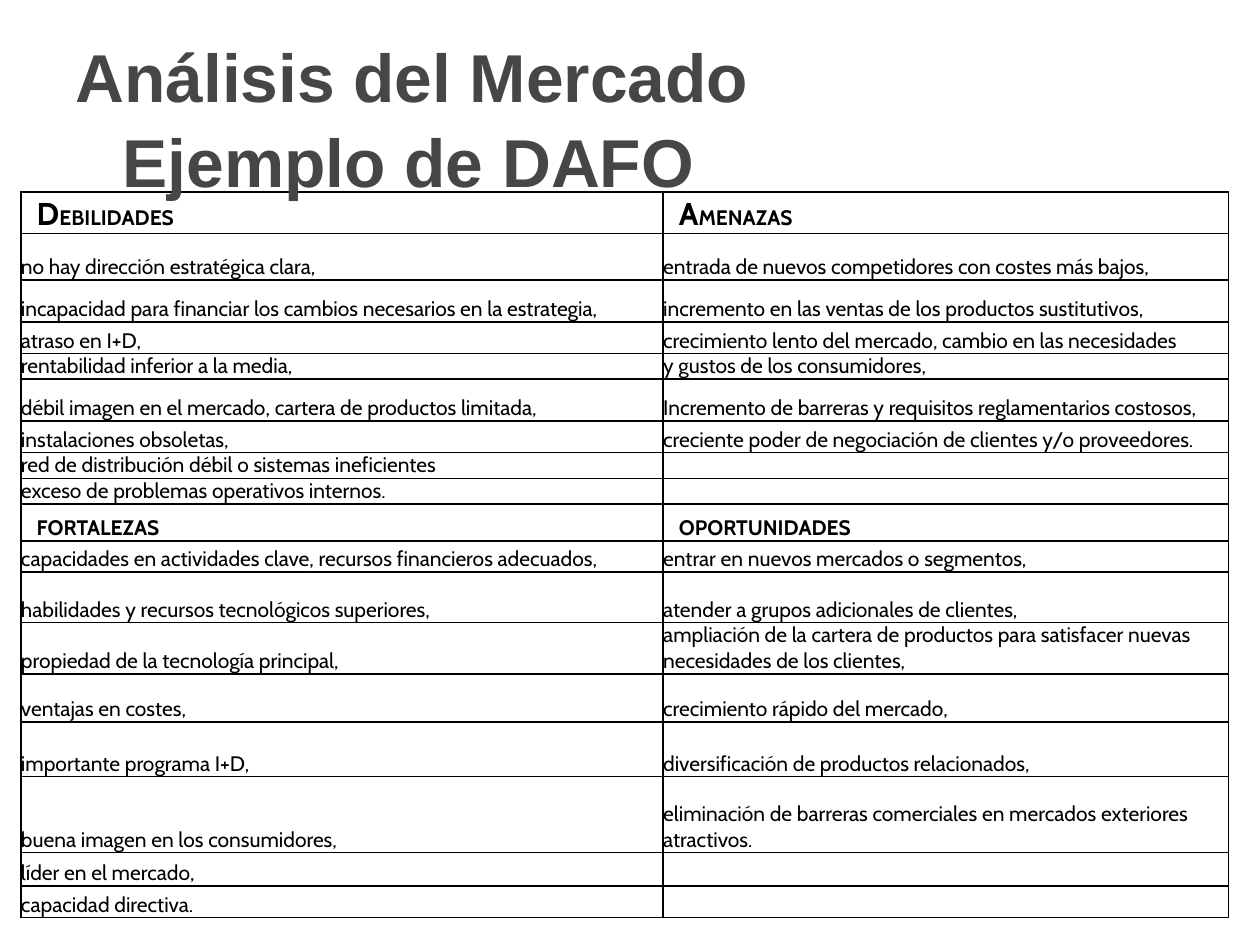
"""Build a market analysis slide with a SWOT table."""
from typing import NamedTuple

from lxml.etree import SubElement
from pptx import Presentation
from pptx.dml.color import RGBColor
from pptx.enum.text import MSO_ANCHOR, MSO_AUTO_SIZE, PP_ALIGN
from pptx.oxml.ns import qn
from pptx.util import Pt

BLACK = RGBColor(0x00, 0x00, 0x00)
WHITE = RGBColor(0xFF, 0xFF, 0xFF)
GREY = RGBColor(0x46, 0x46, 0x46)
COLUMN_WIDTHS = (367, 323.2)


class Row(NamedTuple):
    height: float
    left: str
    right: str = ""
    heading: bool = False
    initial_size: float = 12


ROWS = (
    Row(24, "DEBILIDADES", "AMENAZAS", heading=True, initial_size=18),
    Row(26.4, "no hay dirección estratégica clara,",
        "entrada de nuevos competidores con costes más bajos,"),
    Row(24, "incapacidad para financiar los cambios necesarios en la estrategia,",
        "incremento en las ventas de los productos sustitutivos,"),
    Row(18, "atraso en I+D,", "crecimiento lento del mercado, cambio en las necesidades"),
    Row(14.6, "rentabilidad inferior a la media,", "y gustos de los consumidores,"),
    Row(24, "débil imagen en el mercado, cartera de productos limitada,",
        "Incremento de barreras y requisitos reglamentarios costosos,"),
    Row(18, "instalaciones obsoletas,",
        "creciente poder de negociación de clientes y/o proveedores."),
    Row(14.6, "red de distribución débil o sistemas ineficientes"),
    Row(14.6, "exceso de problemas operativos internos."),
    Row(21.2, "FORTALEZAS", "OPORTUNIDADES", heading=True),
    Row(17.6, "capacidades en actividades clave, recursos financieros adecuados,",
        "entrar en nuevos mercados o segmentos,"),
    Row(29, "habilidades y recursos tecnológicos superiores,",
        "atender a grupos adicionales de clientes,"),
    Row(29.2, "propiedad de la tecnología principal,",
        "ampliación de la cartera de productos para satisfacer nuevas "
        "necesidades de los clientes,"),
    Row(27.6, "ventajas en costes,", "crecimiento rápido del mercado,"),
    Row(31.2, "importante programa I+D,", "diversificación de productos relacionados,"),
    Row(43.4, "buena imagen en los consumidores,",
        "eliminación de barreras comerciales en mercados exteriores atractivos."),
    Row(19.2, "líder en el mercado,"),
    Row(18, "capacidad directiva."),
)


def add_span(para, text: str, *, size: float, font: str = "Cabin",
             color: RGBColor = BLACK, bold: bool = False) -> None:
    span = para.add_run()
    span.text = text
    span.font.name = font
    span.font.size = Pt(size)
    span.font.bold = bold
    span.font.color.rgb = color


def add_borders(cell) -> None:
    properties = cell._tc.get_or_add_tcPr()
    for index, side in enumerate(("lnL", "lnR", "lnT", "lnB")):
        line = properties.makeelement(qn(f"a:{side}"), {"w": str(Pt(1))})
        fill = SubElement(line, qn("a:solidFill"))
        SubElement(fill, qn("a:srgbClr"), val=str(BLACK))
        properties.insert(index, line)


def fill_cell(cell, text: str, row: Row) -> None:
    cell.margin_left = Pt(9 if row.heading else 0)
    cell.margin_right = cell.margin_top = cell.margin_bottom = Pt(0)
    cell.vertical_anchor = MSO_ANCHOR.BOTTOM
    cell.fill.solid()
    cell.fill.fore_color.rgb = WHITE
    add_borders(cell)
    para = cell.text_frame.paragraphs[0]
    if not text:
        SubElement(para._p, qn("a:endParaRPr"), sz="1200")
    elif row.initial_size > 12:
        add_span(para, text[0], size=row.initial_size, bold=True)
        add_span(para, text[1:], size=12, bold=True)
    else:
        add_span(para, text, size=12, bold=row.heading)


def add_swot_table(page) -> None:
    height = sum(row.height for row in ROWS)
    table = page.shapes.add_table(len(ROWS), 2, Pt(12), Pt(109.6),
                                  Pt(sum(COLUMN_WIDTHS)), Pt(height)).table
    table.first_row = table.horz_banding = False
    for column, width in zip(table.columns, COLUMN_WIDTHS):
        column.width = Pt(width)
    for index, row in enumerate(ROWS):
        table.rows[index].height = Pt(row.height)
        for cell, text in zip(table.rows[index].cells, (row.left, row.right)):
            fill_cell(cell, text, row)


def format_title(page) -> None:
    box = page.shapes.title
    box.left, box.top, box.width, box.height = Pt(36), Pt(21.6), Pt(648), Pt(90)
    frame = box.text_frame
    frame.word_wrap = True
    frame.auto_size = MSO_AUTO_SIZE.NONE
    frame.vertical_anchor = MSO_ANCHOR.MIDDLE
    para = frame.paragraphs[0]
    para.alignment = PP_ALIGN.LEFT
    para.line_spacing = 1.04
    properties = para._p.get_or_add_pPr()
    properties.set("marL", str(Pt(27)))
    properties.set("indent", str(Pt(-27)))
    style = {"size": 38.7, "font": "Arial", "color": GREY, "bold": True}
    add_span(para, "Análisis del Mercado ", **style)
    para.add_line_break()
    add_span(para, "Ejemplo de DAFO", **style)
    page.shapes.element.append(box.element)


def main() -> None:
    deck = Presentation()
    deck.slide_width, deck.slide_height = Pt(720), Pt(540)
    page = deck.slides.add_slide(deck.slide_layouts[5])
    add_swot_table(page)
    format_title(page)
    deck.save("out.pptx")


if __name__ == "__main__":
    main()
